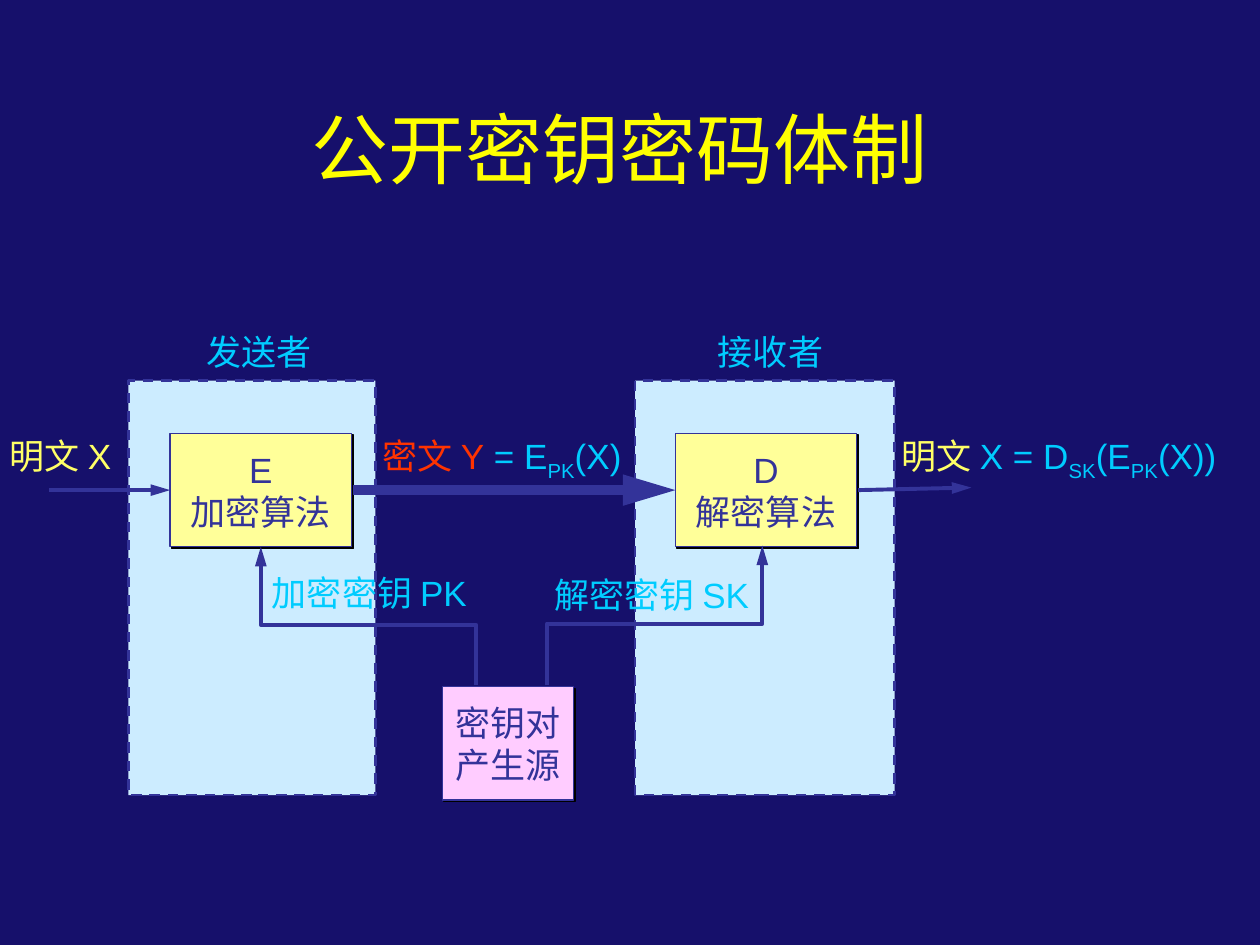
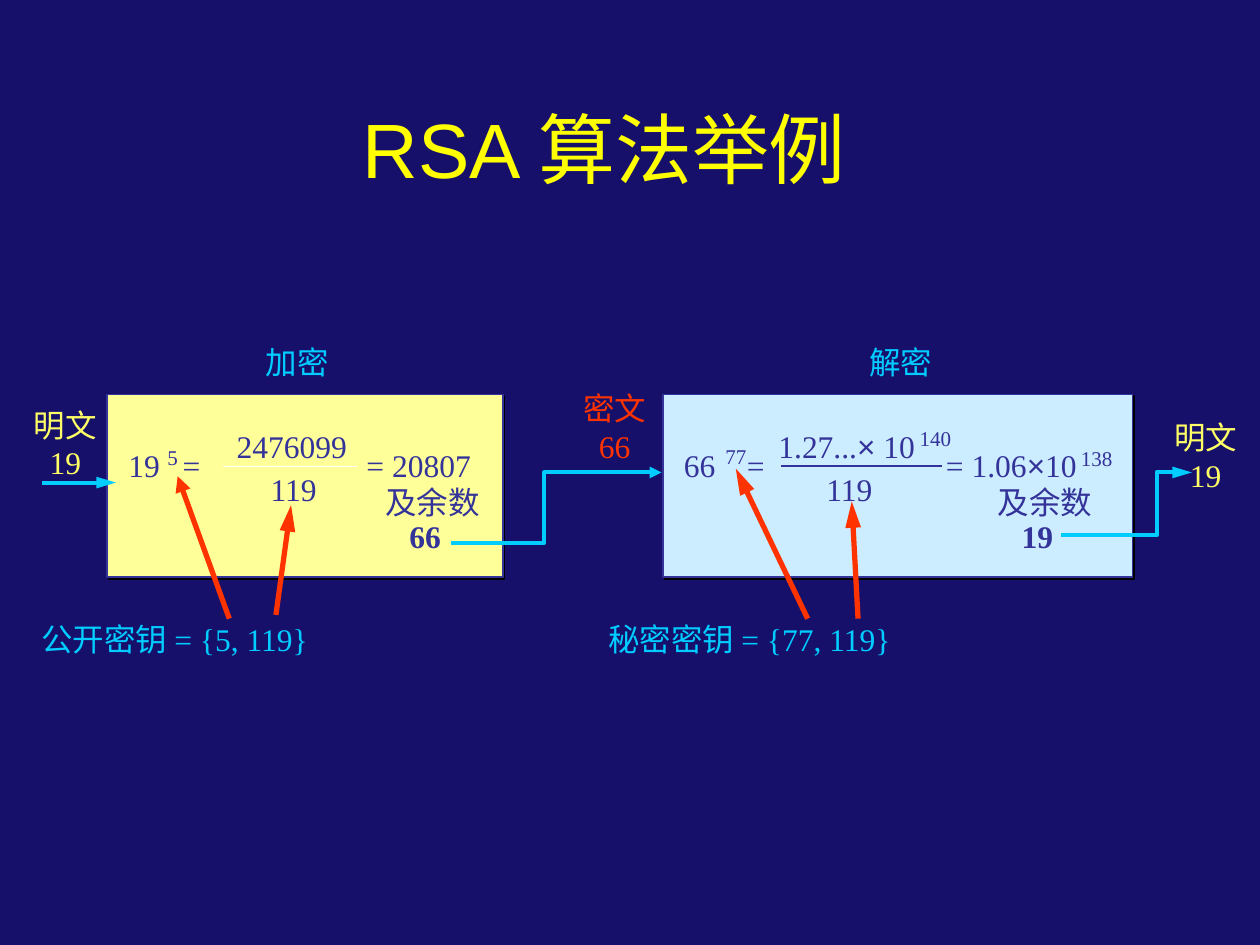
from dataclasses import dataclass
from lxml.etree import SubElement
from pptx import Presentation
from pptx.dml.color import RGBColor
from pptx.enum.dml import MSO_LINE_DASH_STYLE as Dash
from pptx.enum.shapes import MSO_CONNECTOR as Connector, MSO_SHAPE as Shape
from pptx.enum.text import MSO_ANCHOR as Anchor, PP_ALIGN as Align
from pptx.oxml.ns import qn
from pptx.util import Inches, Pt


@dataclass(frozen=True)
class Theme:
    background: str = "16106B"
    title: str = "FFFF01"
    plain: str = "FFFF66"
    cipher: str = "FF3300"
    label: str = "00CCFF"
    ink: str = "333399"
    white: str = "FFFFFF"
    shadow: str = "000000"
    zone: str = "CCECFF"
    algorithm: str = "FFFF99"
    source: str = "FFCCFF"
    sans: str = "Arial"
    serif: str = "Times New Roman"
    title_size: int = 44
    diagram_size: int = 20
    example_size: int = 18
    exponent_size: int = 12


theme = Theme()
presentation = Presentation()
presentation.slide_width = Inches(10)
presentation.slide_height = Inches(7.5)
COLUMN = presentation.slide_width / 100
ROW = presentation.slide_height / 75
TEXT_SLACK = 1


def add_box(slide, cell, text, color, size, font, fill=None, line_width=0.75, spans=()):
    left, top, width, height = cell
    if not fill:
        width += TEXT_SLACK
    area = [int(left * COLUMN), int(top * ROW), int(width * COLUMN), int(height * ROW)]
    if fill:
        shape = slide.shapes.add_shape(Shape.RECTANGLE, *area)
        shape.fill.solid()
        shape.fill.fore_color.rgb = RGBColor.from_string(fill)
        shape.line.color.rgb = RGBColor.from_string(theme.ink)
        shape.line.width = Pt(line_width)
        shape.shadow.inherit = False
    else:
        shape = slide.shapes.add_textbox(*area)
    text_frame = shape.text_frame
    text_frame.text = text
    text_frame.word_wrap = not fill
    text_frame.vertical_anchor = Anchor.MIDDLE if fill else Anchor.TOP
    styles = [(run, color, font, 0) for paragraph in text_frame.paragraphs for run in paragraph.runs]
    for span, span_color, span_font, baseline in spans:
        run = text_frame.paragraphs[-1].add_run()
        run.text = span
        styles.append((run, span_color, span_font, baseline))
    for run, run_color, run_font, baseline in styles:
        run.font.size = Pt(size)
        run.font.name = run_font
        run.font.color.rgb = RGBColor.from_string(run_color)
        if baseline:
            run._r.get_or_add_rPr().set("baseline", str(baseline * 1000))
    for paragraph in text_frame.paragraphs:
        paragraph.alignment = Align.CENTER if fill else Align.LEFT
    return shape


def add_path(slide, points, color, width, head="lg"):
    corners = [(int(x * COLUMN), int(y * ROW)) for x, y in points]
    if len(corners) == 2:
        shape = slide.shapes.add_connector(Connector.STRAIGHT, *corners[0], *corners[1])
    else:
        builder = slide.shapes.build_freeform(*corners[0])
        builder.add_line_segments(corners[1:], close=False)
        shape = builder.convert_to_shape()
        shape.fill.background()
    shape.line.color.rgb = RGBColor.from_string(color)
    shape.line.width = Pt(width)
    properties = shape._element.spPr
    if head:
        SubElement(properties.find(qn("a:ln")), qn("a:tailEnd"), type="triangle", w="med", len=head)
    SubElement(properties, qn("a:effectLst"))


background = presentation.slide_master.background.fill
background.solid()
background.fore_color.rgb = RGBColor.from_string(theme.background)

slides = []
for heading, left, width in [("公开密钥密码体制 ", 10, 79.7), ("RSA 算法举例 ", 9.2, 78.9)]:
    slide = presentation.slides.add_slide(presentation.slide_layouts[5])
    title = slide.shapes.title
    title.left, title.top = int(left * COLUMN), int(6.7 * ROW)
    title.width, title.height = int(width * COLUMN), int(10 * ROW)
    title.text_frame.text = heading
    title.text_frame.vertical_anchor = Anchor.MIDDLE
    paragraph = title.text_frame.paragraphs[0]
    paragraph.alignment = Align.CENTER
    font = paragraph.runs[0].font
    font.name, font.size = theme.sans, Pt(theme.title_size)
    font.color.rgb = RGBColor.from_string(theme.title)
    slides.append(slide)
system, example = slides
diagram_text = (theme.diagram_size, theme.sans)
example_text = (theme.example_size, theme.serif)
exponent_text = (theme.exponent_size, theme.serif)
shadowed = []

for left, width in [(50.4, 20.6), (10.2, 19.6)]:
    zone = add_box(system, (left, 30.2, width, 32.9), "", theme.ink, *diagram_text, theme.zone, 1.5)
    zone.line.dash_style = Dash.DASH

for left, top, width, text, fill in [
    (13.5, 34.4, 14.4, "E\n加密算法", theme.algorithm),
    (53.6, 34.4, 14.4, "D\n解密算法", theme.algorithm),
    (35.1, 54.5, 10.4, "密钥对\n产生源", theme.source),
]:
    shadowed.append(add_box(system, (left, top, width, 9), text, theme.ink, *diagram_text, fill))

for points, width in [
    ([(3.9, 38.9), (13.5, 38.9)], 2.25),
    ([(28, 38.9), (53.6, 38.9)], 6),
    ([(68.1, 38.9), (77.1, 38.7)], 2.25),
    ([(37.8, 54.4), (37.8, 49.6), (20.7, 49.6), (20.7, 43.4)], 2.25),
    ([(43.4, 54.4), (43.4, 49.5), (60.5, 49.5), (60.5, 43.3)], 2.25),
]:
    add_path(system, points, theme.ink, width)

for left, top, width, text, color in [
    (-0.2, 34, 10.7, "明文 X", theme.plain),
    (56, 25.7, 10.3, "接收者", theme.label),
    (15.4, 25.7, 10.3, "发送者", theme.label),
    (20.6, 44.9, 18.1, "加密密钥 PK", theme.label),
    (43, 45, 18.1, "解密密钥 SK", theme.label),
]:
    add_box(system, (left, top, width, 4.4), text, color, *diagram_text)

for left, width, text, color, formula in [
    (29.4, 21.6, "密文 Y", theme.cipher, [(" = E", 0), ("PK", -25), ("(X)", 0)]),
    (70.6, 27.6, "明文 ", theme.plain,
     [("X = D", 0), ("SK", -25), ("(E", 0), ("PK", -25), ("(X))", 0)]),
]:
    spans = [(span, theme.label, theme.sans, baseline) for span, baseline in formula]
    add_box(system, (left, 34, width, 4.8), text, color, *diagram_text, spans=spans)

for left, width, fill in [(52.6, 37.3, theme.zone), (8.5, 31.4, theme.algorithm)]:
    shadowed.append(add_box(example, (left, 31.3, width, 14.5), "", theme.ink, *example_text, fill, 1))

for shape in shadowed:
    effects = shape._element.spPr.find(qn("a:effectLst"))
    shadow = SubElement(effects, qn("a:outerShdw"), dist=str(Pt(1.4)), dir="2700000", algn="ctr", rotWithShape="0")
    SubElement(shadow, qn("a:srgbClr"), val=theme.shadow)

times = ("×", theme.ink, theme.sans, 0)
for left, width, text, spans, stops in [
    (9.2, 29.2, "19\t=\t= 20807", [], (4.3, 18.9)),
    (53.3, 33.7, "66\t=\t= 1.06", [times, ("10", theme.ink, theme.serif, 0)], (5, 20.8)),
]:
    equation = add_box(example, (left, 34.9, width, 4), text, theme.ink, *example_text, spans=spans)
    properties = equation.text_frame.paragraphs[0]._p.get_or_add_pPr()
    tabs = SubElement(properties, qn("a:tabLst"))
    for stop in stops:
        SubElement(tabs, qn("a:tab"), pos=str(int(stop * COLUMN)), algn="l")

for left, top, width, text, color, spans in [
    (2.3, 48.7, 23.8, "公开密钥 = {5, 119}", theme.label, []),
    (47.3, 48.7, 25.1, "秘密密钥 = {77, 119}", theme.label, []),
    (20.1, 26.7, 7, "加密", theme.label, []),
    (68, 26.7, 7, "解密", theme.label, []),
    (17.8, 33.4, 10.7, "2476099", theme.ink, []),
    (60.8, 33.4, 13.3, "1.27...", theme.ink, [times, (" 10", theme.ink, theme.serif, 0)]),
    (20.5, 36.8, 5.7, "119", theme.ink, []),
    (64.6, 36.8, 5.7, "119", theme.ink, []),
]:
    add_box(example, (left, top, width, 4), text, color, *example_text, spans=spans)

for left, top, width, exponent in [
    (12.3, 34.8, 2.8, "5"), (56.6, 34.7, 3.6, "77"),
    (72, 33.3, 4.5, "140"), (84.8, 34.9, 4.5, "138"),
]:
    add_box(example, (left, top, width, 3), exponent, theme.ink, *exponent_text)

for left, top, text, color in [
    (1.7, 31.7, "明文\n19", theme.plain),
    (45.3, 30.4, "密文\n66", theme.cipher),
    (92.2, 32.7, "明文\n19", theme.plain),
]:
    message = add_box(example, (left, top, 6.8, 7), text, color, *example_text)
    message.text_frame.paragraphs[1]._p.get_or_add_pPr().set("marL", str(int(1.25 * COLUMN)))

for left, width, text in [(29.6, 9.5, "及余数\n66"), (78.2, 10.7, "及余数\n19")]:
    remainder = add_box(example, (left, 38.2, width, 6.4), text, theme.ink, *example_text)
    for paragraph in remainder.text_frame.paragraphs:
        paragraph.line_spacing = 0.9
    paragraph.runs[0].font.bold = True
    paragraph._p.get_or_add_pPr().set("marL", str(int(1.9 * COLUMN)))

for points, color, width, head in [
    ([(3.3, 38.3), (9.2, 38.3)], theme.label, 2.25, "lg"),
    ([(35.8, 43.1), (43.2, 43.1), (43.2, 37.5), (52.5, 37.5)], theme.label, 2.25, "med"),
    ([(84.2, 42.5), (91.8, 42.5), (91.8, 37.5), (94.6, 37.5)], theme.label, 2.25, "lg"),
    ([(17.7, 37), (28.3, 37)], theme.white, 0.75, None),
    ([(62, 37), (74.8, 37)], theme.ink, 1, None),
    ([(18.2, 49.1), (14.1, 37.8)], theme.cipher, 3, "med"),
    ([(21.9, 48.8), (23.1, 40.1)], theme.cipher, 3, "lg"),
    ([(64.1, 49.1), (58.4, 37.2)], theme.cipher, 3, "lg"),
    ([(68.1, 49.1), (67.6, 39.8)], theme.cipher, 3, "lg"),
]:
    add_path(example, points, color, width, head)

presentation.save("out.pptx")
